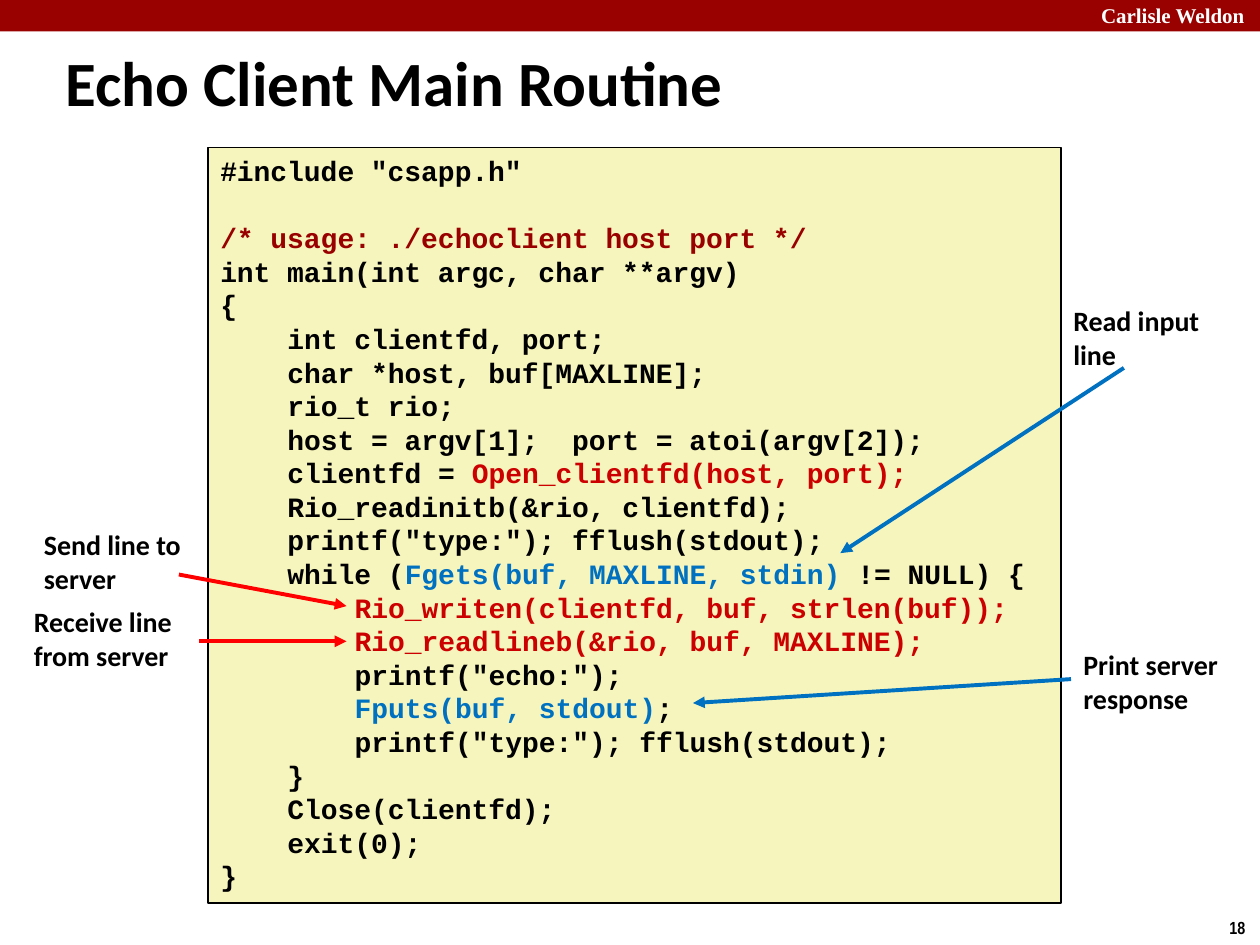
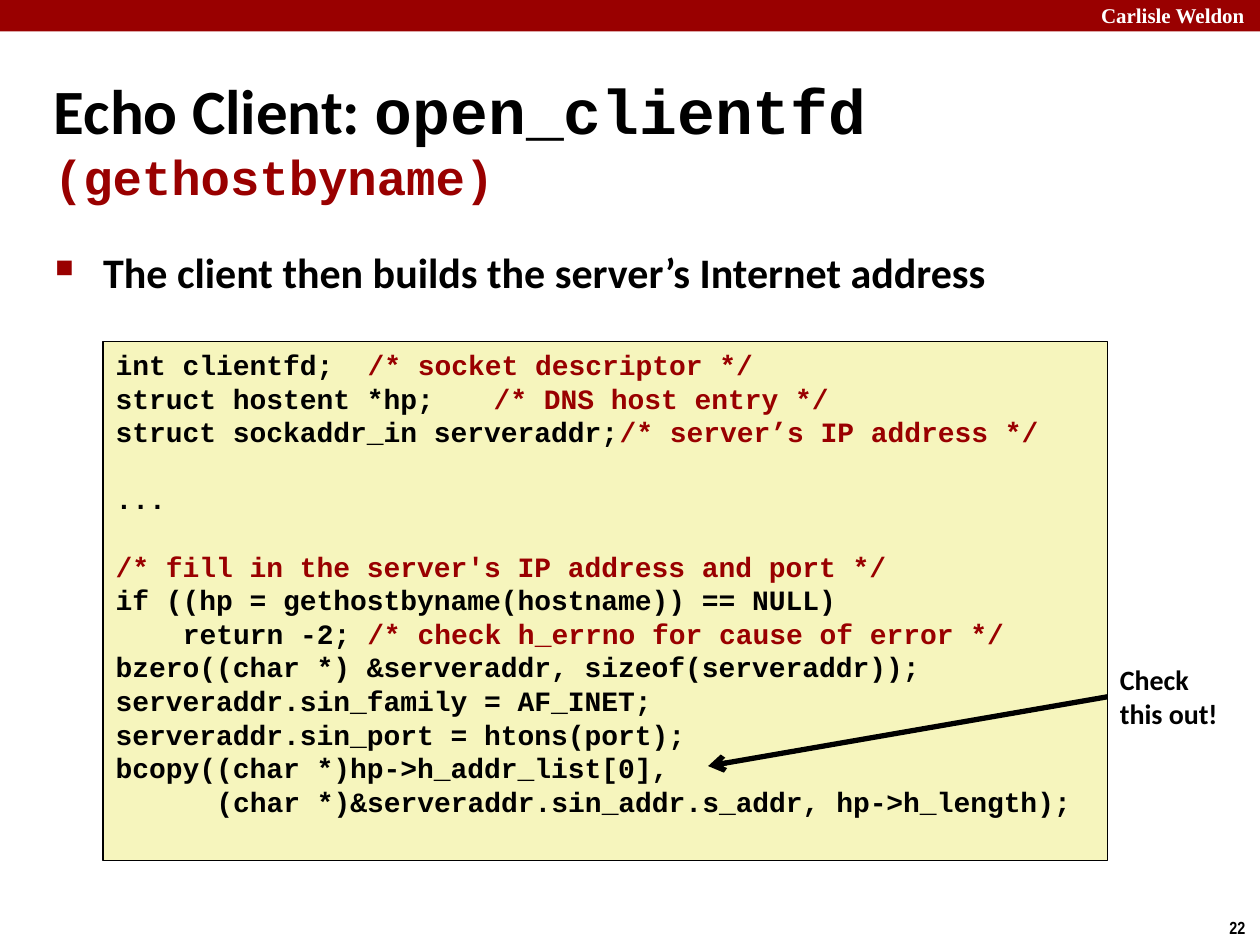
"""Two slides on the echo client: annotated C code under a shared header band."""
from lxml import etree
from pptx import Presentation
from pptx import util as u
from pptx.dml.color import RGBColor
from pptx.enum import shapes, text
from pptx.oxml import ns

COLORS = {
    "black": "000000", "white": "FFFFFF", "band": "990000", "comment": "990000",
    "socket": "CC0000", "stdio": "0070C0", "arrow": "FF0000", "code": "F6F5BD",
}
BODY, MONO = "Calibri", "Courier New"
CODE_SIZE = 16
CODE_LINE = 19.2                     # line pitch in points
CODE_CHAR = CODE_SIZE * 0.6 / 72     # character width in inches
COMMENT_COLUMN = 31

# A code line is a string, or a list of (text, colour) spans.
MAIN_ROUTINE = [
    '#include "csapp.h"',
    "",
    [("/* usage: ./echoclient host port */", "comment")],
    "int main(int argc, char **argv)",
    "{",
    "    int clientfd, port;",
    "    char *host, buf[MAXLINE];",
    "    rio_t rio;",
    "    host = argv[1];  port = atoi(argv[2]);",
    [("    clientfd = ", "black"), ("Open_clientfd(host, port);", "socket")],
    "    Rio_readinitb(&rio, clientfd);",
    '    printf("type:"); fflush(stdout);',
    [("    while (", "black"), ("Fgets(buf, MAXLINE, stdin) ", "stdio"),
     ("!= NULL) {", "black")],
    [("        Rio_writen(clientfd, buf, strlen(buf));", "socket")],
    [("        Rio_readlineb(&rio, buf, MAXLINE);", "socket")],
    '        printf("echo:");',
    [("        Fputs(buf, stdout)", "stdio"), (";", "black")],
    '        printf("type:"); fflush(stdout);',
    "    }",
    "    Close(clientfd);",
    "    exit(0);",
    "}",
]
OPEN_CLIENTFD = [
    [("int clientfd;\t", "black"), ("/* socket descriptor */", "comment")],
    [("struct hostent *hp;\t", "black"), ("/* DNS host entry */", "comment")],
    [("struct sockaddr_in serveraddr;\t", "black"),
     ("/* server’s IP address */", "comment")],
    "",
    "...",
    "",
    [("/* fill in the server's IP address and port */", "comment")],
    "if ((hp = gethostbyname(hostname)) == NULL)",
    [("    return -2; ", "black"),
     ("/* check h_errno for cause of error */", "comment")],
    "bzero((char *) &serveraddr, sizeof(serveraddr));",
    "serveraddr.sin_family = AF_INET;",
    "serveraddr.sin_port = htons(port);",
    "bcopy((char *)hp->h_addr_list[0],",
    "      (char *)&serveraddr.sin_addr.s_addr, hp->h_length);",
]


def rgb(name):
    """Look up a named colour."""
    return RGBColor.from_string(COLORS[name])


def format_run(run, size, font=BODY, color="black"):
    """Give a run its bold font, size and colour."""
    run.font.name, run.font.size, run.font.bold = font, u.Pt(size), True
    run.font.color.rgb = rgb(color)


def add_run(paragraph, words, size, font=BODY, color="black"):
    """Append a formatted run."""
    run = paragraph.add_run()
    run.text = words
    format_run(run, size, font, color)


def add_text(slide, box, lines, size, font=BODY, color="black", wrap=True):
    """Add a text box with one paragraph per line."""
    shape = slide.shapes.add_textbox(*map(u.Inches, box))
    frame = shape.text_frame
    frame.word_wrap = wrap
    frame.text = "\n".join(lines)
    for paragraph in frame.paragraphs:
        for run in paragraph.runs:
            format_run(run, size, font, color)
    return shape


def add_box(slide, box, fill, line=None):
    """Add a flat rectangle, outlined if a line colour is given."""
    shape = slide.shapes.add_shape(
        shapes.MSO_SHAPE.RECTANGLE, *map(u.Inches, box))
    shape.shadow.inherit = False
    shape.fill.solid()
    shape.fill.fore_color.rgb = rgb(fill)
    if line:
        shape.line.color.rgb = rgb(line)
        shape.line.width = u.Pt(1)
    else:
        shape.line.fill.background()
    return shape


def add_slide(presentation, number):
    """Add a blank slide with the header band and the slide number."""
    slide = presentation.slides.add_slide(presentation.slide_layouts[6])
    add_box(slide, (0, 0, 10, 0.25), "band")
    add_text(slide, (8.64, -0.03, 1.43, 0.3), ["Carlisle Weldon"], 12,
             "Times New Roman", "white")
    add_text(slide, (9.66, 7.23, 0.34, 0.27), [str(number)], 10,
             "Arial Narrow", wrap=False)
    return slide


def add_title(slide, box, words):
    """Add the slide title and return its paragraph."""
    frame = add_text(slide, box, [words], 36).text_frame
    frame.vertical_anchor = text.MSO_ANCHOR.MIDDLE
    return frame.paragraphs[0]


def add_bullet(slide, box, words):
    """Add one paragraph with a hanging square bullet."""
    paragraph = add_text(slide, box, [words], 24).text_frame.paragraphs[0]
    paragraph.space_before = u.Pt(24 * 0.2)
    properties = paragraph._p.get_or_add_pPr()
    properties.set("marL", str(u.Inches(0.38)))
    properties.set("indent", str(-u.Inches(0.38)))
    color = etree.SubElement(properties, ns.qn("a:buClr"))
    etree.SubElement(color, ns.qn("a:srgbClr"), val=COLORS["band"])
    etree.SubElement(properties, ns.qn("a:buSzPct"), val="60000")
    etree.SubElement(properties, ns.qn("a:buChar"), char="■")


def set_code_layout(paragraph, indent):
    """Indent a code line by characters and set its comment tab stop."""
    properties = paragraph._p.get_or_add_pPr()
    properties.set("marL", str(u.Inches(indent * CODE_CHAR)))
    properties.set("indent", "0")
    stops = etree.SubElement(properties, ns.qn("a:tabLst"))
    etree.SubElement(stops, ns.qn("a:tab"), algn="l",
                     pos=str(u.Inches(COMMENT_COLUMN * CODE_CHAR)))


def add_code(slide, box, lines):
    """Add a code listing; an empty line becomes space before the next."""
    frame = add_box(slide, box, "code", "black").text_frame
    frame.word_wrap = True
    frame.vertical_anchor = text.MSO_ANCHOR.TOP
    paragraph, gap = frame.paragraphs[0], 0
    for line in lines:
        if not line:
            gap += CODE_LINE
            continue
        spans = [(line, "black")] if isinstance(line, str) else line
        if paragraph.runs:
            paragraph = frame.add_paragraph()
        paragraph.alignment = text.PP_ALIGN.LEFT
        paragraph.line_spacing = u.Pt(CODE_LINE)
        paragraph.space_before = u.Pt(gap)
        first = spans[0][0]
        set_code_layout(paragraph, len(first) - len(first.lstrip()))
        for index, (words, color) in enumerate(spans):
            add_run(paragraph, words if index else words.lstrip(),
                    CODE_SIZE, MONO, color)
        gap = 0


def add_arrow(slide, start, end, color, width=2.25, head="triangle"):
    """Draw a straight arrow from start to end."""
    connector = slide.shapes.add_connector(
        shapes.MSO_CONNECTOR.STRAIGHT, *map(u.Inches, start + end))
    connector.line.color.rgb = rgb(color)
    connector.line.width = u.Pt(width)
    etree.SubElement(connector.line._get_or_add_ln(), ns.qn("a:tailEnd"),
                     type=head)
    etree.SubElement(connector._element.spPr, ns.qn("a:effectLst"))


def build_main_routine(presentation):
    """Build the slide with the annotated main routine."""
    slide = add_slide(presentation, 18)
    add_title(slide, (0.42, 0.33, 8.5, 0.63), "Echo Client Main Routine")
    add_code(slide, (1.65, 1.17, 6.77, 6), MAIN_ROUTINE)
    notes = [
        ((0.25, 4.14, 1.67, 0.64), ["Send line to server"],
         (1.42, 4.56), (2.75, 4.81), "arrow"),
        ((0.17, 4.75, 1.67, 0.64), ["Receive line from server"],
         (1.58, 5.09), (2.75, 5.09), "arrow"),
        ((8.42, 2.36, 1.42, 0.64), ["Read input", "line"],
         (8.92, 2.92), (6.67, 4.39), "stdio"),
        ((8.5, 5.09, 1.42, 0.64), ["Print server", "response"],
         (8.5, 5.39), (5.5, 5.58), "stdio"),
    ]
    for box, lines, start, end, color in notes:
        add_arrow(slide, start, end, color)
        add_text(slide, box, lines, 16)


def build_open_clientfd(presentation):
    """Build the slide on open_clientfd and gethostbyname."""
    slide = add_slide(presentation, 22)
    title = add_title(slide, (0.33, 0.5, 8.92, 1.2), "Echo Client: ")
    add_run(title, "open_clientfd", 36, MONO)
    title.add_line_break()
    add_run(title, "(gethostbyname)", 28, MONO, "comment")
    add_bullet(slide, (0.34, 1.91, 9.03, 0.68),
               "The client then builds the server’s Internet address")
    add_code(slide, (0.82, 2.71, 7.97, 4.12), OPEN_CLIENTFD)
    add_text(slide, (8.79, 5.21, 0.99, 0.64), ["Check", "this out!"], 16,
             wrap=False)
    add_arrow(slide, (8.79, 5.53), (5.62, 6.08), "black", 3, "arrow")


def main():
    """Build and save the presentation."""
    presentation = Presentation()
    presentation.slide_width = u.Inches(10)
    presentation.slide_height = u.Inches(7.5)
    build_main_routine(presentation)
    build_open_clientfd(presentation)
    presentation.save("out.pptx")


main()
